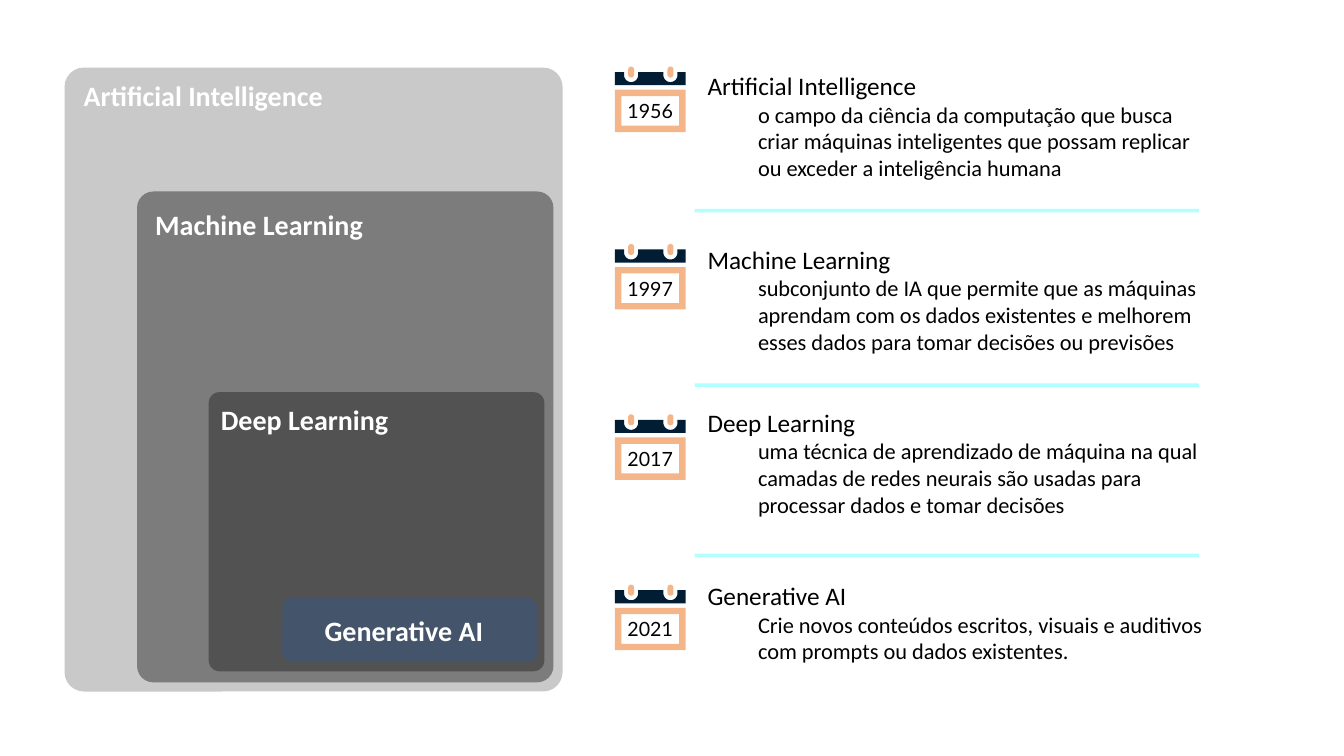
from math import cos, pi, sin

from lxml.etree import SubElement
from pptx import Presentation
from pptx.dml.color import RGBColor
from pptx.enum.shapes import MSO_CONNECTOR, MSO_SHAPE
from pptx.enum.text import MSO_ANCHOR, MSO_AUTO_SIZE, PP_ALIGN
from pptx.oxml.ns import qn
from pptx.util import Inches, Pt

COLUMNS = 1333
ROWS = 750

deck = Presentation()
deck.slide_width = Inches(13.33)
deck.slide_height = Inches(7.5)
page = deck.slides.add_slide(deck.slide_layouts[6])


def grid(*cells):
    sizes = (deck.slide_width / COLUMNS, deck.slide_height / ROWS)
    return [round(cell * sizes[index % 2]) for index, cell in enumerate(cells)]


def paint(fill, colour, opacity=100):
    fill.solid()
    fill.fore_color.rgb = RGBColor.from_string(colour)
    if opacity < 100:
        tone = fill._xPr.find(".//" + qn("a:srgbClr"))
        SubElement(tone, qn("a:alpha"), val=str(opacity * 1000))


layers = [
    ("Artificial Intelligence", (64, 67, 494, 619), 0.039, "C9C9C9", (83, 78, 462, 34)),
    ("Machine Learning", (136, 190, 413, 487), 0.039, "7C7C7C", (154, 206, 333, 34)),
    ("Deep Learning", (207, 389, 333, 277), 0.039, "525252", (219, 399, 207, 34)),
    ("Generative AI", (280, 593, 253, 64), 0.159, "44546A", (322, 609, 197, 34)),
]
for name, panel_cells, rounding, colour, label_cells in layers:
    panel = page.shapes.add_shape(MSO_SHAPE.ROUNDED_RECTANGLE, *grid(*panel_cells))
    panel.adjustments[0] = rounding
    panel.shadow.inherit = False
    panel.line.fill.background()
    paint(panel.fill, colour)

    label = page.shapes.add_textbox(*grid(*label_cells)).text_frame
    label.word_wrap = True
    label.auto_size = MSO_AUTO_SIZE.SHAPE_TO_FIT_TEXT
    label.margin_left = label.margin_right = label.margin_top = label.margin_bottom = 0
    para = label.paragraphs[0]
    para.text = name
    para.font.name = "Calibri"
    para.font.size = Pt(20)
    para.font.bold = True
    paint(para.font.fill, "FFFFFF")

CALENDAR_LEFT = 610
CALENDAR_WIDTH = 70
PIN_CENTRES = (626, 665)
NOTCH_RADIUS = 7
ARC_STEPS = 16

milestones = [
    ("1956", 66, 65, 127, "Artificial Intelligence",
     "o campo da ciência da computação que busca criar máquinas inteligentes "
     "que possam replicar ou exceder a inteligência humana"),
    ("1997", 242, 237, 127, "Machine Learning",
     "subconjunto de IA que permite que as máquinas aprendam com os dados "
     "existentes e melhorem esses dados para tomar decisões ou previsões"),
    ("2017", 411, 399, 137, "Deep Learning",
     "uma técnica de aprendizado de máquina na qual camadas de redes neurais "
     "são usadas para processar dados e tomar decisões"),
    ("2021", 580, 571, 106, "Generative AI",
     "Crie novos conteúdos escritos, visuais e auditivos com prompts ou dados "
     "existentes."),
]
for year, calendar_top, text_top, text_height, title, description in milestones:
    calendar = page.shapes.add_group_shape()
    sheet = calendar.shapes.add_shape(
        MSO_SHAPE.FRAME, *grid(CALENDAR_LEFT, calendar_top + 23, CALENDAR_WIDTH, 42))
    sheet.adjustments[0] = 0.15
    pieces = [(sheet, "ED7D31", 57)]
    for centre in PIN_CENTRES:
        pin = calendar.shapes.add_shape(
            MSO_SHAPE.ROUNDED_RECTANGLE, *grid(centre - 3, calendar_top, 6, 11))
        pin.adjustments[0] = 0.5
        pieces.append((pin, "ED7D31", 57))

    band_top = calendar_top + 5.5
    outline = [(CALENDAR_LEFT, band_top)]
    for centre in PIN_CENTRES:
        outline.append((centre - NOTCH_RADIUS, band_top))
        for step in range(ARC_STEPS + 1):
            angle = pi * step / ARC_STEPS
            outline.append((centre - NOTCH_RADIUS * cos(angle),
                            band_top + 3 + NOTCH_RADIUS * sin(angle)))
        outline.append((centre + NOTCH_RADIUS, band_top))
    for corner in ((CALENDAR_WIDTH, 0), (CALENDAR_WIDTH, 13), (0, 13)):
        outline.append((CALENDAR_LEFT + corner[0], band_top + corner[1]))
    points = [grid(*point) for point in outline]
    builder = calendar.shapes.build_freeform(*points[0])
    builder.add_line_segments(points[1:], close=True)
    pieces.append((builder.convert_to_shape(), "001D33", 100))

    for piece, colour, opacity in pieces:
        piece.shadow.inherit = False
        piece.line.fill.background()
        paint(piece.fill, colour, opacity)

    frame = sheet.text_frame
    frame.word_wrap = False
    frame.vertical_anchor = MSO_ANCHOR.MIDDLE
    frame.margin_left = frame.margin_right = frame.margin_top = frame.margin_bottom = 0
    para = frame.paragraphs[0]
    para.text = year
    para.alignment = PP_ALIGN.CENTER
    para.font.name = "Lato"
    para.font.size = Pt(14)
    paint(para.font.fill, "000000")

    box = page.shapes.add_textbox(*grid(692, text_top, 516, text_height)).text_frame
    box.word_wrap = True
    heading = box.paragraphs[0]
    heading.text = title
    detail = box.add_paragraph()
    detail.text = description
    detail.level = 1
    detail._p.get_or_add_pPr().set("marL", str(Inches(0.5)))
    for para, size in ((heading, 18), (detail, 16)):
        para.font.name = "Calibri"
        para.font.size = Pt(size)
        paint(para.font.fill, "000000")

for row in (209, 382, 551):
    divider = page.shapes.add_connector(MSO_CONNECTOR.STRAIGHT, *grid(689, row, 1189, row))
    divider.line.width = Pt(2.5)
    paint(divider.line.fill, "66FFFF", 50)
    SubElement(divider._element.spPr, qn("a:effectLst"))

deck.save("out.pptx")
